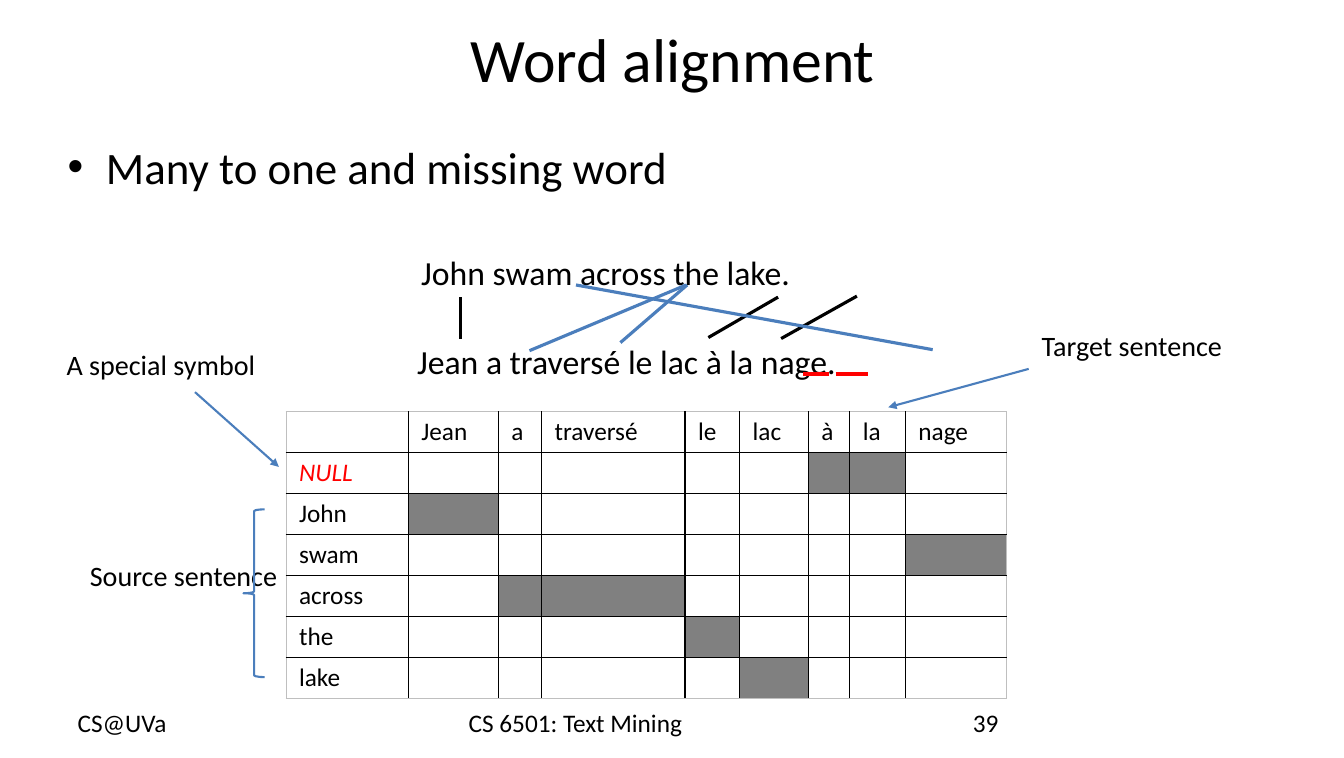
from dataclasses import dataclass

from lxml import etree
from pptx import Presentation
from pptx.dml.color import RGBColor
from pptx.enum.shapes import MSO_CONNECTOR, MSO_SHAPE
from pptx.enum.text import MSO_ANCHOR, PP_ALIGN
from pptx.oxml.ns import qn
from pptx.util import Inches, Pt


@dataclass(frozen=True)
class Theme:
    font: str = "Calibri"
    black: str = "000000"
    white: str = "FFFFFF"
    blue: str = "4B7EBC"
    red: str = "FF0000"
    gray: str = "808080"
    edge: str = "BFBFBF"
    title: int = 44
    body: int = 32
    sentence: int = 24
    label: int = 20
    small: int = 18
    link: float = 2.25
    pointer: float = 1.5


T = Theme()

# Content
TITLE = "Word alignment"
BULLET = "Many to one and missing word"
SENTENCES = [
    ("John swam across the lake.", (4.07, 2.44, 3.88, 0.5)),
    ("Jean a traversé le lac à la nage.", (4.03, 3.32, 4.46, 0.5)),
]
LABELS = [
    ("Target sentence", 10.21, 3.2),
    ("Source sentence", 0.79, 5.48),
    ("A special symbol", 0.56, 3.39),
]
FOOTER = [("CS@UVa", 0.67, 3.1), ("CS 6501: Text Mining", 4.54, 4.21), ("39", 9.53, 3.1)]

TARGET = ["Jean", "a", "traversé", "le", "lac", "à", "la", "nage"]
SOURCE = ["NULL", "John", "swam", "across", "the", "lake"]
ALIGNED = {
    "NULL": ["à", "la"],
    "John": ["Jean"],
    "swam": ["nage"],
    "across": ["a", "traversé"],
    "the": ["le"],
    "lake": ["lac"],
}
COL_WIDTHS = [1.21, 0.89, 0.43, 1.42, 0.54, 0.68, 0.41, 0.55, 1]
TABLE_LEFT, TABLE_TOP, TABLE_HEIGHT = 2.83, 4.07, 2.84

# Lines: start, end
POINTERS = [((10.18, 3.65), (8.79, 4.03)), ((1.93, 3.88), (2.76, 4.62))]
WORD_LINKS = {
    T.black: [((4.56, 2.94), (4.56, 3.35)), ((7.7, 2.94), (7.01, 3.34)),
              ((8.48, 2.93), (7.73, 3.35))],
    T.blue: [((6.8, 2.82), (6.14, 3.39)), ((5.7, 2.82), (9.23, 3.46)),
             ((6.79, 2.82), (5.24, 3.47))],
    T.red: [((7.95, 3.7), (8.2, 3.7)), ((8.27, 3.7), (8.59, 3.7))],
}


def rgb(color):
    return RGBColor.from_string(color)


def write(tf, text, size=T.small, color=T.black, italic=False, align=PP_ALIGN.LEFT,
          anchor=MSO_ANCHOR.TOP, wrap=True, bullet=None):
    tf.word_wrap = wrap
    tf.vertical_anchor = anchor
    p = tf.paragraphs[0]
    p.alignment = align
    if bullet:
        pPr = p._p.get_or_add_pPr()
        pPr.set("marL", str(Inches(0.38)))
        pPr.set("indent", str(-Inches(0.38)))
        etree.SubElement(pPr, qn("a:buFont"), typeface="Arial")
        etree.SubElement(pPr, qn("a:buChar"), char=bullet)
    r = p.add_run()
    r.text = text
    r.font.name, r.font.size, r.font.italic = T.font, Pt(size), italic
    r.font.color.rgb = rgb(color)


def add_text(text, box, **fmt):
    sp = slide.shapes.add_textbox(*map(Inches, box))
    write(sp.text_frame, text, **fmt)


def add_line(start, end, color, width, arrow=False):
    line = slide.shapes.add_connector(MSO_CONNECTOR.STRAIGHT, *map(Inches, start + end))
    line.line.color.rgb = rgb(color)
    line.line.width = Pt(width)
    if arrow:
        etree.SubElement(line.line._get_or_add_ln(), qn("a:tailEnd"), type="triangle")
    etree.SubElement(line._element.spPr, qn("a:effectLst"))


def set_borders(cell, row, col):
    outer = {"L": col == 0, "R": col == len(TARGET), "T": row == 0, "B": row == len(SOURCE)}
    tcPr = cell._tc.get_or_add_tcPr()
    for i, (side, is_outer) in enumerate(outer.items()):
        ln = etree.Element(qn(f"a:ln{side}"), w=str(Pt(0.5 if is_outer else 1)))
        fill = etree.SubElement(ln, qn("a:solidFill"))
        etree.SubElement(fill, qn("a:srgbClr"), val=T.edge if is_outer else T.black)
        tcPr.insert(i, ln)


prs = Presentation()
prs.slide_width, prs.slide_height = Inches(13.3), Inches(7.5)
slide = prs.slides.add_slide(prs.slide_layouts[6])

# Title and bullet
add_text(TITLE, (0.02, 0.01, 13.28, 1.12), size=T.title, align=PP_ALIGN.CENTER,
         anchor=MSO_ANCHOR.MIDDLE)
add_text(BULLET, (0.57, 1.33, 12.25, 0.7), size=T.body, bullet="•")

# Labels, brace and pointers
for text, left, top in LABELS:
    add_text(text, (left, top, 2.09, 0.44), size=T.label)
brace = slide.shapes.add_shape(MSO_SHAPE.LEFT_BRACE, *map(Inches, (2.41, 5.04, 0.21, 1.66)))
brace.shadow.inherit = False
brace.fill.background()
brace.line.color.rgb = rgb(T.blue)
brace.line.width = Pt(T.pointer)
for start, end in POINTERS:
    add_line(start, end, T.blue, T.pointer, arrow=True)

# Sentence pair and word links
for text, box in SENTENCES:
    add_text(text, box, size=T.sentence, wrap=False)
for color, links in WORD_LINKS.items():
    for start, end in links:
        add_line(start, end, color, T.link)

# Alignment table
rows = [""] + SOURCE
cols = [""] + TARGET
table = slide.shapes.add_table(len(rows), len(cols), *map(
    Inches, (TABLE_LEFT, TABLE_TOP, sum(COL_WIDTHS), TABLE_HEIGHT))).table
table.first_row = table.horz_banding = False
for column, width in zip(table.columns, COL_WIDTHS):
    column.width = Inches(width)
for r, source in enumerate(rows):
    table.rows[r].height = Inches(TABLE_HEIGHT / len(rows))
    for c, target in enumerate(cols):
        cell = table.cell(r, c)
        cell.margin_left = cell.margin_right = Inches(0.13)
        cell.fill.solid()
        aligned = target in ALIGNED.get(source, [])
        cell.fill.fore_color.rgb = rgb(T.gray if aligned else T.white)
        set_borders(cell, r, c)
        text = target if r == 0 else source if c == 0 else ""
        if text:
            special = text == "NULL"
            write(cell.text_frame, text, color=T.red if special else T.black, italic=special)

# Footer
for text, left, width in FOOTER:
    add_text(text, (left, 6.95, width, 0.4))

prs.save("out.pptx")
